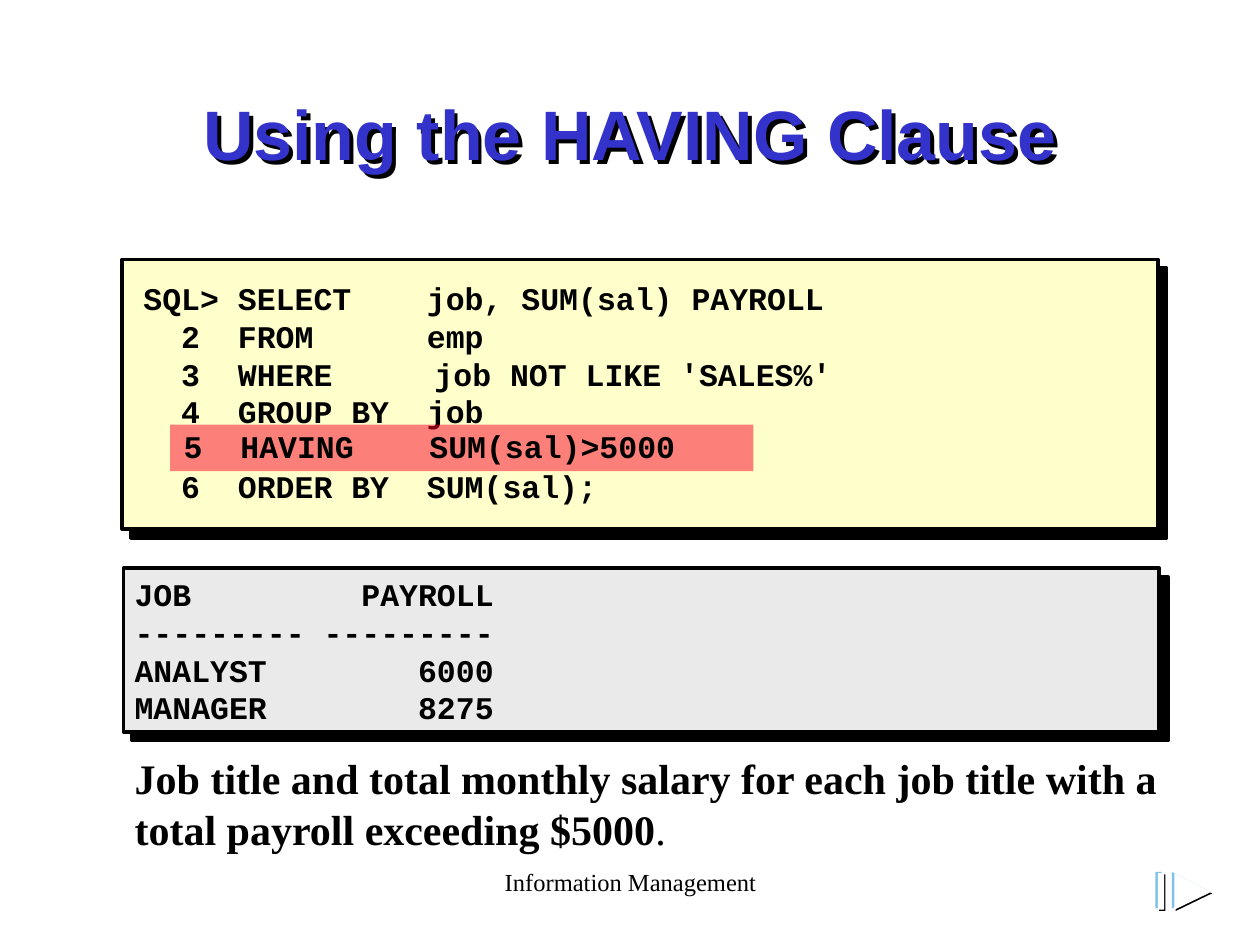
from dataclasses import dataclass

import pptx
import pptx.dml.color
import pptx.enum.shapes
import pptx.enum.text
import pptx.oxml
import pptx.oxml.ns
import pptx.util
from lxml import etree

Inches, Pt = pptx.util.Inches, pptx.util.Pt
RGBColor = pptx.dml.color.RGBColor
RECT = pptx.enum.shapes.MSO_SHAPE.RECTANGLE
ALIGN = pptx.enum.text.PP_ALIGN
ANCHOR = pptx.enum.text.MSO_ANCHOR
qn = pptx.oxml.ns.qn

BLACK = RGBColor(0x00, 0x00, 0x00)
WHITE = RGBColor(0xFF, 0xFF, 0xFF)
INDIGO = RGBColor(0x33, 0x33, 0xCC)
CREAM = RGBColor(0xFF, 0xFF, 0xCC)
GREY = RGBColor(0xEA, 0xEA, 0xEA)
RED = RGBColor(0xFC, 0x01, 0x28)
SKY = RGBColor(0x7F, 0xC1, 0xEB)


@dataclass
class Style:
    font: str
    size: float
    color: RGBColor = BLACK
    bold: bool = True
    align: ALIGN = ALIGN.LEFT
    pitch: float | None = None


@dataclass
class Line:
    text: str
    stops: tuple = ()
    before: float = 0


@dataclass
class Layer:
    color: RGBColor
    left: float
    top: float


TITLE = Style("Arial", 40, INDIGO, align=ALIGN.CENTER)
FOOT = Style("Times New Roman", 14, bold=False, align=ALIGN.CENTER)
NOTE = Style("Times New Roman", 24, pitch=29)
CODE = Style("Courier New", 18, pitch=21.5)

# Tab stops: position in inches and alignment
QUERY = ((0.3, "l"), (0.75, "l"), (2.25, "l"))
SHIFT = ((0.3, "l"), (0.75, "l"), (2.31, "l"))
CLAUSE = ((0.45, "l"), (1.95, "l"))
RESULT = ((2.85, "r"),)


def add_shadow(shape, dist: float) -> None:
    shape.shadow.inherit = False
    effects = shape._element.spPr.find(qn("a:effectLst"))
    shade = etree.SubElement(effects, qn("a:outerShdw"), blurRad="0",
                             dist=str(Pt(dist)), dir="2700000",
                             algn="ctr", rotWithShape="0")
    etree.SubElement(shade, qn("a:srgbClr"), val=str(BLACK))


def add_text(box: tuple, lines: list[Line], style: Style, anchor=ANCHOR.TOP):
    shape = slide.shapes.add_textbox(*map(Inches, box))
    frame = shape.text_frame
    frame.word_wrap = True
    frame.vertical_anchor = anchor
    frame.text = "\n".join(line.text for line in lines)
    for para, line in zip(frame.paragraphs, lines):
        para.alignment = style.align
        if line.stops:
            tabs = etree.SubElement(para._p.get_or_add_pPr(), qn("a:tabLst"))
            for pos, side in line.stops:
                etree.SubElement(tabs, qn("a:tab"), pos=str(Inches(pos)), algn=side)
        if style.pitch:
            para.line_spacing = Pt(style.pitch)
        if line.before:
            para.space_before = Pt(line.before)
        for run in para.runs:
            set_font(run.font, style)
    return shape


def set_font(font, style: Style) -> None:
    font.name = style.font
    font.size = Pt(style.size)
    font.bold = style.bold
    font.color.rgb = style.color


def paint(shape, color: RGBColor):
    shape.shadow.inherit = False
    shape.fill.solid()
    shape.fill.fore_color.rgb = color
    shape.line.fill.background()
    return shape


def add_rect(shapes, box: tuple, color: RGBColor):
    return paint(shapes.add_shape(RECT, *map(Inches, box)), color)


def add_panel(box: tuple, color: RGBColor) -> None:
    panel = add_rect(slide.shapes, box, color)
    panel.line.color.rgb = BLACK
    panel.line.width = Pt(2)
    add_shadow(panel, 7.1)


def add_arrow(shapes, left: float, top: float, color: RGBColor) -> None:
    tip = (Inches(left + 0.29), Inches(top + 0.15))
    path = shapes.build_freeform(*tip)
    path.add_line_segments([(Inches(left), Inches(top)),
                            (Inches(left), Inches(top + 0.29))], close=True)
    paint(path.convert_to_shape(), color)


deck = pptx.Presentation()
deck.slide_width, deck.slide_height = Inches(10), Inches(7.5)
slide = deck.slides.add_slide(deck.slide_layouts[6])

# Footer and title
add_text((3.42, 6.83, 3.17, 0.5), [Line("Information Management")], FOOT)
title = add_text((0.75, 0.67, 8.5, 1.25), [Line("Using the HAVING Clause")], TITLE)
add_shadow(title, 3.2)

# Query
add_panel((0.97, 2.06, 8.22, 2.14), CREAM)
add_text((1.04, 2.45, 8, 1.33), [
    Line("SQL>\tSELECT\tjob, SUM(sal) PAYROLL", QUERY),
    Line("\t2\tFROM\temp", QUERY),
    Line("\t3\tWHERE\tjob NOT LIKE 'SALES%'", SHIFT),
    Line("\t4\tGROUP BY\tjob", QUERY),
    Line("\t6\tORDER BY\tSUM(sal);", QUERY, before=CODE.pitch),
], CODE, ANCHOR.MIDDLE)

# Result
add_panel((0.98, 4.51, 8.22, 1.3), GREY)
add_text((0.97, 4.5, 8, 1.33), [
    Line("JOB\tPAYROLL", RESULT),
    Line("--------- ---------"),
    Line("ANALYST\t6000", RESULT),
    Line("MANAGER\t8275", RESULT),
], CODE, ANCHOR.MIDDLE)

# Highlighted clause
band = add_rect(slide.shapes, (1.35, 3.37, 4.63, 0.37), RED)
tint = band._element.spPr.find(qn("a:solidFill"))[0]
etree.SubElement(tint, qn("a:alpha"), val="50000")
add_text((1.36, 3.34, 4.1, 0.4), [Line("5\tHAVING\tSUM(sal)>5000", CLAUSE)], CODE)

# Play icon
icon = slide.shapes.add_group_shape().shapes
LAYERS = [Layer(BLACK, 9.2, 6.94), Layer(SKY, 9.17, 6.92), Layer(WHITE, 9.19, 6.93)]
for layer in LAYERS:
    add_rect(icon, (layer.left, layer.top, 0.05, 0.29), layer.color)
for layer in LAYERS:
    add_arrow(icon, layer.left + 0.13, layer.top, layer.color)

# Explanation
note = add_text((0.97, 5.92, 8.48, 0.91), [Line(
    "Job title and total monthly salary for each job title "
    "with a total payroll exceeding $5000")], NOTE)
stop = note.text_frame.paragraphs[0].add_run()
stop.text = "."
set_font(stop.font, NOTE)
stop.font.bold = False

deck.save("out.pptx")
